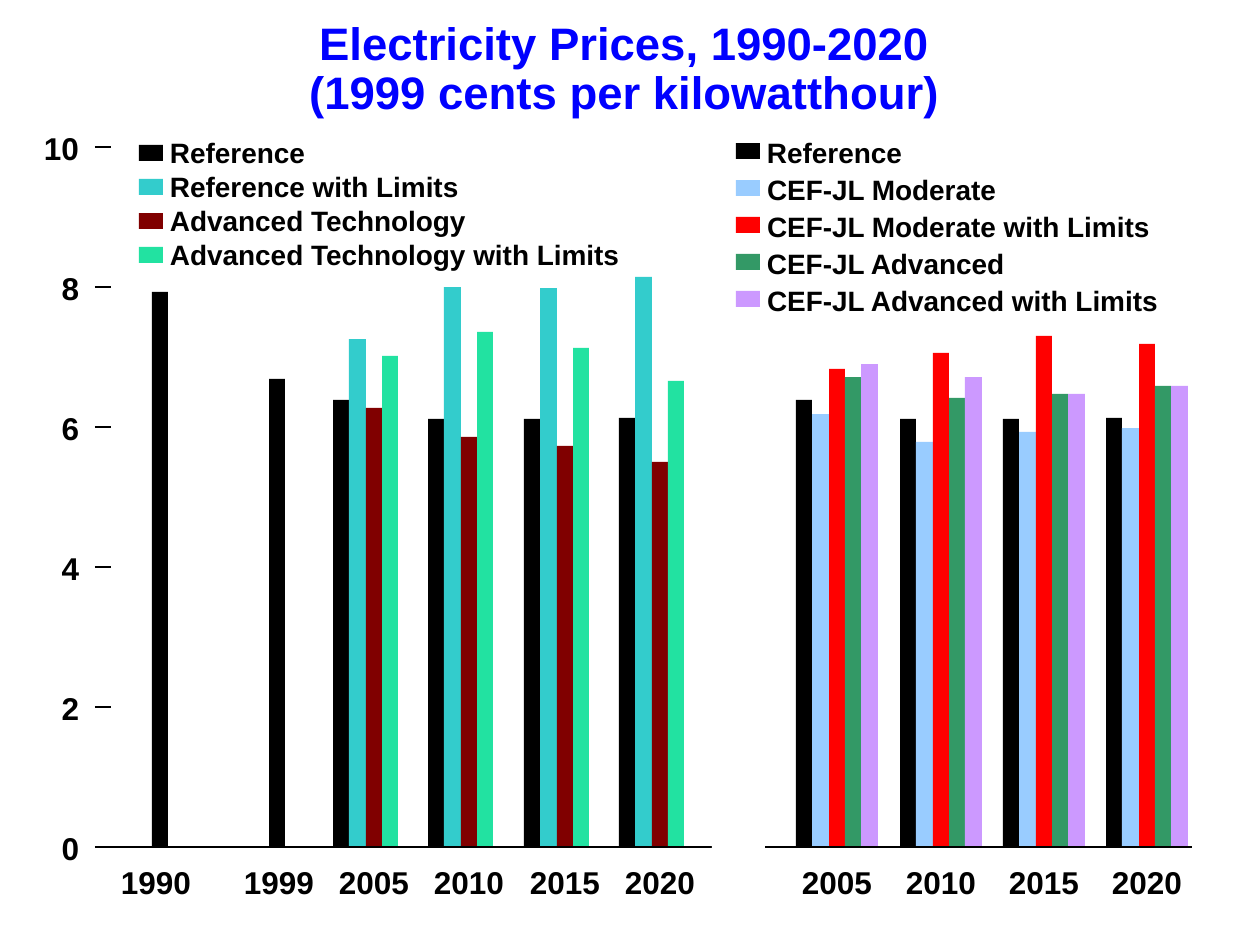
from pptx import Presentation
from pptx.dml.color import RGBColor
from pptx.enum.shapes import MSO_CONNECTOR, MSO_SHAPE
from pptx.enum.text import MSO_AUTO_SIZE, PP_ALIGN
from pptx.oxml.ns import qn
from pptx.util import Emu, Inches, Pt

RECT = MSO_SHAPE.RECTANGLE
STRAIGHT = MSO_CONNECTOR.STRAIGHT
FIT_SHAPE = MSO_AUTO_SIZE.SHAPE_TO_FIT_TEXT
LEFT, CENTER, RIGHT = PP_ALIGN.LEFT, PP_ALIGN.CENTER, PP_ALIGN.RIGHT

BLACK = RGBColor(0x00, 0x00, 0x00)
WHITE = RGBColor(0xFF, 0xFF, 0xFF)
BLUE = RGBColor(0x00, 0x00, 0xFF)
TEAL = RGBColor(0x33, 0xCC, 0xCC)
MAROON = RGBColor(0x80, 0x00, 0x00)
MINT = RGBColor(0x22, 0xE2, 0xA1)
SKY = RGBColor(0x99, 0xCC, 0xFF)
RED = RGBColor(0xFF, 0x00, 0x00)
GREEN = RGBColor(0x33, 0x99, 0x66)
LILAC = RGBColor(0xCC, 0x99, 0xFF)

PX_PER_INCH = 126
BASELINE = 847      # y of a price of zero
PX_PER_CENT = 70
BAR_PITCH = 16.33
LABEL_OFFSET = 41   # from the first bar of a group to the centre of its year

# Series: name, width of the name, colour, prices by year
LEFT_YEARS = {"1990": 152, "1999": 269, "2005": 333, "2010": 428, "2015": 524, "2020": 619}
LEFT_LABEL_OFFSETS = {"1990": 4, "1999": 10}
LEFT_SERIES = [
    ("Reference", 138, BLACK, [7.93, 6.68, 6.38, 6.12, 6.12, 6.13]),
    ("Reference with Limits", 292, TEAL, [None, None, 7.26, 8.00, 7.99, 8.14]),
    ("Advanced Technology", 302, MAROON, [None, None, 6.27, 5.86, 5.73, 5.50]),
    ("Advanced Technology with Limits", 454, MINT, [None, None, 7.01, 7.35, 7.13, 6.66]),
]
RIGHT_YEARS = {"2005": 796, "2010": 900, "2015": 1003, "2020": 1106}
RIGHT_SERIES = [
    ("Reference", 138, BLACK, [6.38, 6.12, 6.12, 6.13]),
    ("CEF-JL Moderate", 233, SKY, [6.19, 5.79, 5.93, 5.99]),
    ("CEF-JL Moderate with Limits", 386, RED, [6.83, 7.06, 7.30, 7.19]),
    ("CEF-JL Advanced", 242, GREEN, [6.72, 6.42, 6.47, 6.58]),
    ("CEF-JL Advanced with Limits", 396, LILAC, [6.90, 6.72, 6.47, 6.58]),
]


def px(length):
    return Emu(round(length * 914400 / PX_PER_INCH))


def price_y(price):
    return round(BASELINE - price * PX_PER_CENT)


class PriceSlide:
    font = "Arial"
    line_width = Pt(0.88)

    def __init__(self, slide):
        self.slide = slide

    def block(self, x, y, width, height, color):
        block = self.slide.shapes.add_shape(RECT, px(x), px(y), px(width), px(height))
        block.shadow.inherit = False
        block.fill.solid()
        block.fill.fore_color.rgb = color
        block.line.fill.background()

    def rule(self, x1, x2, y):
        rule = self.slide.shapes.add_connector(STRAIGHT, px(x1), px(y), px(x2), px(y))
        rule.line.color.rgb = BLACK
        rule.line.width = self.line_width
        properties = rule._element.spPr
        properties.append(properties.makeelement(qn("a:effectLst"), {}))

    def text(self, x, y, width, height, lines, size, align=LEFT, color=BLACK, spacing=None):
        box = self.slide.shapes.add_textbox(px(x), px(y), px(width), px(height))
        frame = box.text_frame
        frame.margin_left = frame.margin_top = frame.margin_right = frame.margin_bottom = 0
        frame.word_wrap = False
        frame.auto_size = FIT_SHAPE
        for index, line in enumerate(lines):
            paragraph = frame.add_paragraph() if index else frame.paragraphs[0]
            paragraph.alignment = align
            if spacing:
                paragraph.line_spacing = spacing
            run = paragraph.add_run()
            run.text = line
            run.font.name = self.font
            run.font.size = Pt(size)
            run.font.bold = True
            run.font.color.rgb = color

    def bars(self, years, series):
        for position, (_, _, color, prices) in enumerate(series):
            start = round(position * BAR_PITCH)
            end = round((position + 1) * BAR_PITCH)
            for group_x, price in zip(years.values(), prices):
                if price is not None:
                    top = price_y(price)
                    self.block(group_x + start, top, end - start, BASELINE - top, color)

    def year_labels(self, years, offsets):
        for year, group_x in years.items():
            center = group_x + offsets.get(year, LABEL_OFFSET)
            self.text(center - 37, 863, 74, 38, [year], 18, CENTER)

    def legend(self, series, x, swatch_y, text_y, pitch):
        for row, (name, width, color, _) in enumerate(series):
            self.block(x, swatch_y + row * pitch, 24, 16, color)
            self.text(x + 31, text_y + row * pitch, width, 34, [name], 16)


def main():
    prs = Presentation()
    prs.slide_width, prs.slide_height = Inches(10), Inches(7.5)
    page = PriceSlide(prs.slides.add_slide(prs.slide_layouts[6]))

    # Bars of both panels
    page.bars(LEFT_YEARS, LEFT_SERIES)
    page.bars(RIGHT_YEARS, RIGHT_SERIES)

    # Price axis
    for price in range(0, 11, 2):
        tick_y = price_y(price)
        width = 19 * len(str(price))
        page.rule(95, 111, tick_y)
        page.text(79 - width, tick_y - 18, width, 38, [str(price)], 18, RIGHT)

    # Year axis, with a gap between the panels
    page.rule(111, 1192, BASELINE)
    page.block(712, 825, 53, 44, WHITE)
    page.year_labels(LEFT_YEARS, LEFT_LABEL_OFFSETS)
    page.year_labels(RIGHT_YEARS, {})

    # Legends
    page.legend(LEFT_SERIES, 139, 145, 136, 34)
    page.legend(RIGHT_SERIES, 736, 143, 136, 37)

    # Title
    title = ["Electricity Prices, 1990-2020", "(1999 cents per kilowatthour)"]
    page.text(309, 21, 631, 98, title, 26, CENTER, BLUE, 0.9)

    prs.save("out.pptx")


if __name__ == "__main__":
    main()
